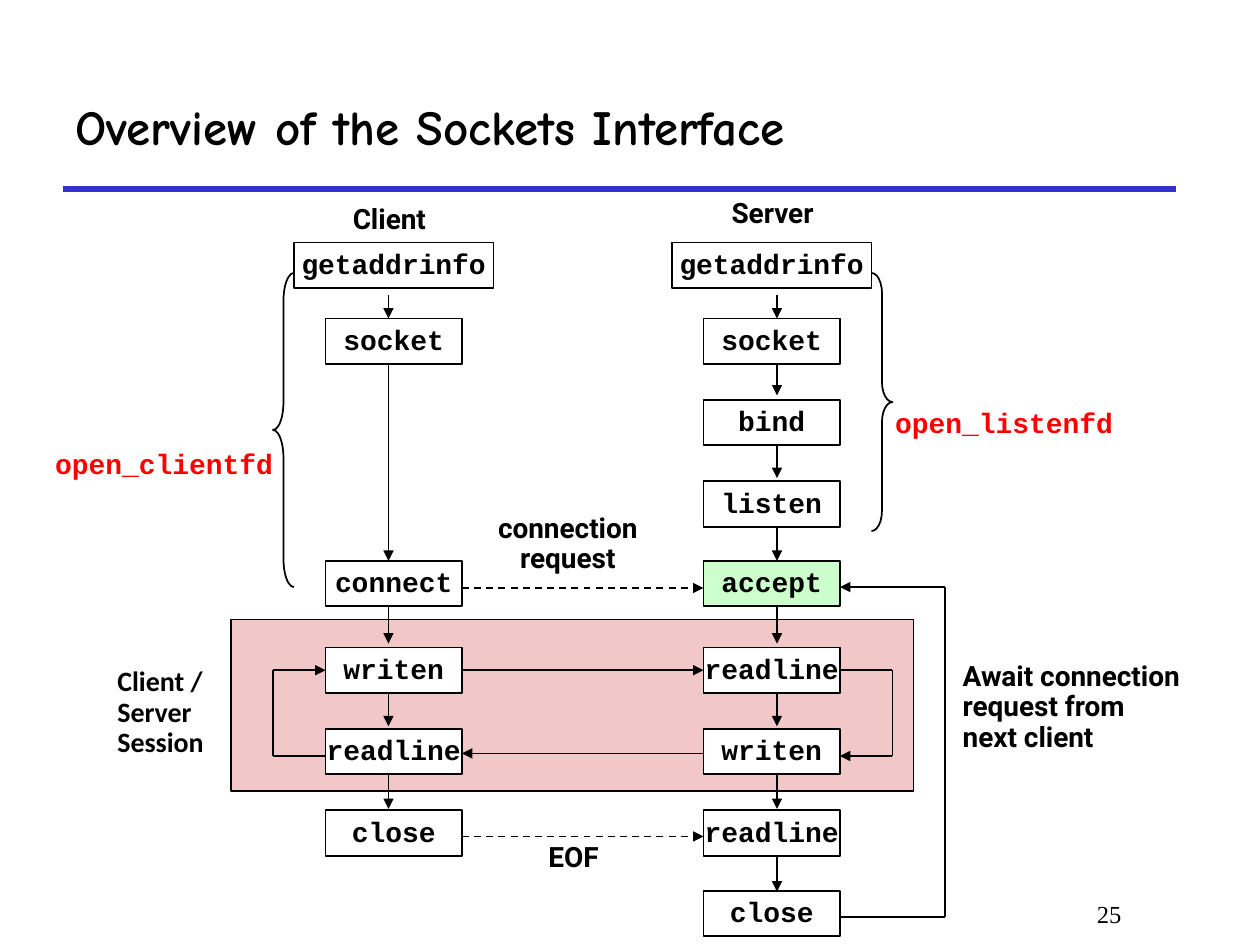
from dataclasses import dataclass

from lxml import etree
from pptx import Presentation
from pptx.dml.color import RGBColor
from pptx.enum.dml import MSO_LINE
from pptx.enum.shapes import MSO_CONNECTOR, MSO_SHAPE
from pptx.enum.text import MSO_ANCHOR, MSO_AUTO_SIZE, PP_ALIGN
from pptx.oxml.ns import qn
from pptx.util import Pt

STRAIGHT, DASH = MSO_CONNECTOR.STRAIGHT, MSO_LINE.DASH
RECTANGLE = MSO_SHAPE.RECTANGLE
LEFT_BRACE, RIGHT_BRACE = MSO_SHAPE.LEFT_BRACE, MSO_SHAPE.RIGHT_BRACE
LEFT, CENTER, RIGHT = PP_ALIGN.LEFT, PP_ALIGN.CENTER, PP_ALIGN.RIGHT
TOP, MIDDLE = MSO_ANCHOR.TOP, MSO_ANCHOR.MIDDLE
GROW, FIXED = MSO_AUTO_SIZE.SHAPE_TO_FIT_TEXT, MSO_AUTO_SIZE.NONE
LEFT_SIDE, RIGHT_SIDE = 1, 3


@dataclass(frozen=True)
class Theme:
    """Colours, fonts and type sizes of the slide."""
    ink: RGBColor = RGBColor(0, 0, 0)
    paper: RGBColor = RGBColor(255, 255, 255)
    rule: RGBColor = RGBColor(0x33, 0x33, 0xCC)
    session: RGBColor = RGBColor(0xF1, 0xC7, 0xC7)
    accept: RGBColor = RGBColor(0xCC, 0xFF, 0xCC)
    helper: RGBColor = RGBColor(255, 0, 0)
    title_font: str = "Comic Neue"
    label_font: str = "Roboto"
    code_font: str = "Courier New"
    session_font: str = "Calibri"
    number_font: str = "Times New Roman"
    title_size: int = 28
    body_size: int = 16
    number_size: int = 14


@dataclass(frozen=True)
class Box:
    """A rectangle in points."""
    left: float
    top: float
    width: float
    height: float

    def lengths(self):
        """Return the four lengths for python-pptx."""
        return Pt(self.left), Pt(self.top), Pt(self.width), Pt(self.height)


THEME = Theme()
CALL_WIDTH, CALL_HEIGHT = 78, 26
ROW_TOPS = (43.5, 90, 136.5, 182, 231.5, 278, 324.5, 370.5)
ARROW_START, ARROW_PITCH, ARROW_LENGTH = 66.5, 47.25, 21


def apply(target, values):
    """Set each named attribute on the target."""
    for name, value in values.items():
        setattr(target, name, value)


def write(shape, lines, font=THEME.label_font, color=THEME.ink, size=THEME.body_size,
          bold=True, align=CENTER, anchor=MIDDLE, wrap=False, fit=FIXED, spacing=0.9):
    """Fill a shape with formatted paragraphs."""
    frame = shape.text_frame
    frame.text = "\n".join(lines)
    apply(frame, {"word_wrap": wrap, "auto_size": fit, "vertical_anchor": anchor})
    for para in frame.paragraphs:
        apply(para, {"alignment": align, "line_spacing": spacing})
        for span in para.runs:
            apply(span.font, {"name": font, "size": Pt(size), "bold": bold})
            span.font.color.rgb = color


def add_label(page, box, *lines, **style):
    """Add a text box."""
    write(page.shapes.add_textbox(*box.lengths()), lines, **{"fit": GROW, **style})


def add_outline(page, kind, box, fill=None):
    """Add a black-lined preset shape, filled or clear."""
    shape = page.shapes.add_shape(kind, *box.lengths())
    shape.shadow.inherit = False
    shape.line.color.rgb = THEME.ink
    shape.line.width = Pt(1)
    if fill is None:
        shape.fill.background()
    else:
        shape.fill.solid()
        shape.fill.fore_color.rgb = fill
    return shape


def add_line(page, start, end, arrow=False, color=THEME.ink, width=1, dash=None):
    """Add a straight connector, with an arrowhead at its end if asked."""
    line = page.shapes.add_connector(STRAIGHT, *(Pt(value) for value in (*start, *end)))
    line.line.color.rgb = color
    apply(line.line, {"width": Pt(width), "dash_style": dash})
    if arrow:
        etree.SubElement(line.line._get_or_add_ln(), qn("a:tailEnd"), type="triangle")
    etree.SubElement(line._element.spPr, qn("a:effectLst"))
    return line


def add_route(page, *points):
    """Chain connectors through the points and return them, arrow last."""
    legs = list(zip(points, points[1:]))
    return [add_line(page, start, end, arrow=index == len(legs))
            for index, (start, end) in enumerate(legs, 1)]


def add_call(page, box, name):
    """Add one function-call rectangle."""
    fill = THEME.accept if name == "accept" else THEME.paper
    shape = add_outline(page, RECTANGLE, box, fill)
    write(shape, [name], font=THEME.code_font)
    return shape


def add_heading(page, box):
    """Place the title and the rule along the bottom of the box."""
    title = page.shapes.title
    lengths = dict(zip(("left", "top", "width", "height"), box.lengths()))
    apply(title, lengths)
    write(title, ["Overview of the Sockets Interface"], font=THEME.title_font,
          size=THEME.title_size, align=LEFT, wrap=True, spacing=1.0)
    bottom = box.top + box.height
    add_line(page, (box.left, bottom), (box.left + box.width, bottom),
             color=THEME.rule, width=3)


def add_column(page, box, axis, caption, caption_box, calls):
    """Place a column of calls, keyed by row, and return their shapes."""
    add_label(page, caption_box, caption)
    add_line(page, (axis, box.top + 30), (axis, box.top + ROW_TOPS[0]), arrow=True)
    rows = list(calls)
    for row, following in zip(rows, rows[1:]):
        start = box.top + ARROW_START + row * ARROW_PITCH
        end = start + (following - row - 1) * ARROW_PITCH + ARROW_LENGTH
        add_line(page, (axis, start), (axis, end), arrow=True)
    add_call(page, Box(box.left, box.top, box.width, CALL_HEIGHT), "getaddrinfo")
    left = box.left + (box.width - CALL_WIDTH) / 2
    return {row: add_call(page, Box(left, box.top + ROW_TOPS[row], CALL_WIDTH, CALL_HEIGHT), name)
            for row, name in calls.items()}


def add_exchange(page, box, client, server):
    """Draw the messages and loops inside the session box."""
    left, right = box.left + 132, box.left + 270
    request, reply, loop = box.top + 29, box.top + 76.5, box.top + 78
    message = add_line(page, (left, request), (right, request), arrow=True)
    message.begin_connect(client[4], RIGHT_SIDE)
    message.end_connect(server[4], LEFT_SIDE)
    add_line(page, (right, reply), (left, reply), arrow=True)

    outer, inner = box.left + 24, left - CALL_WIDTH
    legs = add_route(page, (inner, loop), (outer, loop), (outer, request), (inner, request))
    legs[-1].end_connect(client[4], LEFT_SIDE)
    outer, inner = box.left + 378, right + CALL_WIDTH
    legs = add_route(page, (inner, request), (outer, request), (outer, loop), (inner, loop))
    legs[0].begin_connect(server[4], RIGHT_SIDE)


def add_signal(page, box, y, *lines):
    """Place a dashed message across the box, with its label."""
    add_line(page, (264, y), (402, y), arrow=True, dash=DASH)
    add_label(page, box, *lines)


def add_helper(page, kind, box, bend, label_box, name):
    """Place a brace and the name of the helper it stands for."""
    brace = add_outline(page, kind, box)
    brace.adjustments[0] = bend
    add_label(page, label_box, name, font=THEME.code_font, color=THEME.helper, wrap=True)


def add_return(page, box):
    """Draw the way back to accept along the box's right edge."""
    right, bottom = box.left + box.width, box.top + box.height
    add_route(page, (box.left, bottom), (right, bottom), (right, box.top), (box.left, box.top))
    add_label(page, Box(right + 3, box.top + 36.5, 147.5, 65), "Await connection",
              "request from", "next client", align=LEFT, wrap=True)


def main():
    """Build and save the slide."""
    deck = Presentation()
    apply(deck, {"slide_width": Pt(720), "slide_height": Pt(540)})
    page = deck.slides.add_slide(deck.slide_layouts[5])
    add_heading(page, Box(36, 36, 636, 72))
    session = Box(132, 354, 390, 98)
    add_outline(page, RECTANGLE, session, THEME.session)
    add_label(page, Box(60, 375, 66, 65), "Client / Server", "Session",
              font=THEME.session_font, align=LEFT, wrap=True)
    client = add_column(page, Box(168, 138.5, 114, 396.5), 222, "Client", Box(193, 112.5, 59, 26.5),
                        {0: "socket", 3: "connect", 4: "writen", 5: "readline", 6: "close"})
    server = add_column(page, Box(384, 138.5, 114, 396.5), 444, "Server", Box(409.5, 109.5, 64, 26.5),
                        dict(enumerate(("socket", "bind", "listen", "accept",
                                        "readline", "writen", "readline", "close"))))
    add_exchange(page, session, client, server)
    add_signal(page, Box(274.5, 288, 100, 46), 336, "connection", "request")
    add_signal(page, Box(304, 477, 47.5, 26.5), 478, "EOF")
    add_return(page, Box(480, 335.5, 60, 188.5))
    add_helper(page, RIGHT_BRACE, Box(498, 156, 12, 147.5), 0.96,
               Box(504, 229, 139.5, 26.5), "open_listenfd")
    add_helper(page, LEFT_BRACE, Box(156, 156, 12, 179.5), 1.33,
               Box(24, 253, 139.5, 26.5), "open_clientfd")
    add_label(page, Box(546, 510, 102, 36), "25", font=THEME.number_font, bold=False,
              size=THEME.number_size, align=RIGHT, anchor=TOP, wrap=True, fit=FIXED, spacing=1.0)
    deck.save("out.pptx")


if __name__ == "__main__":
    main()
